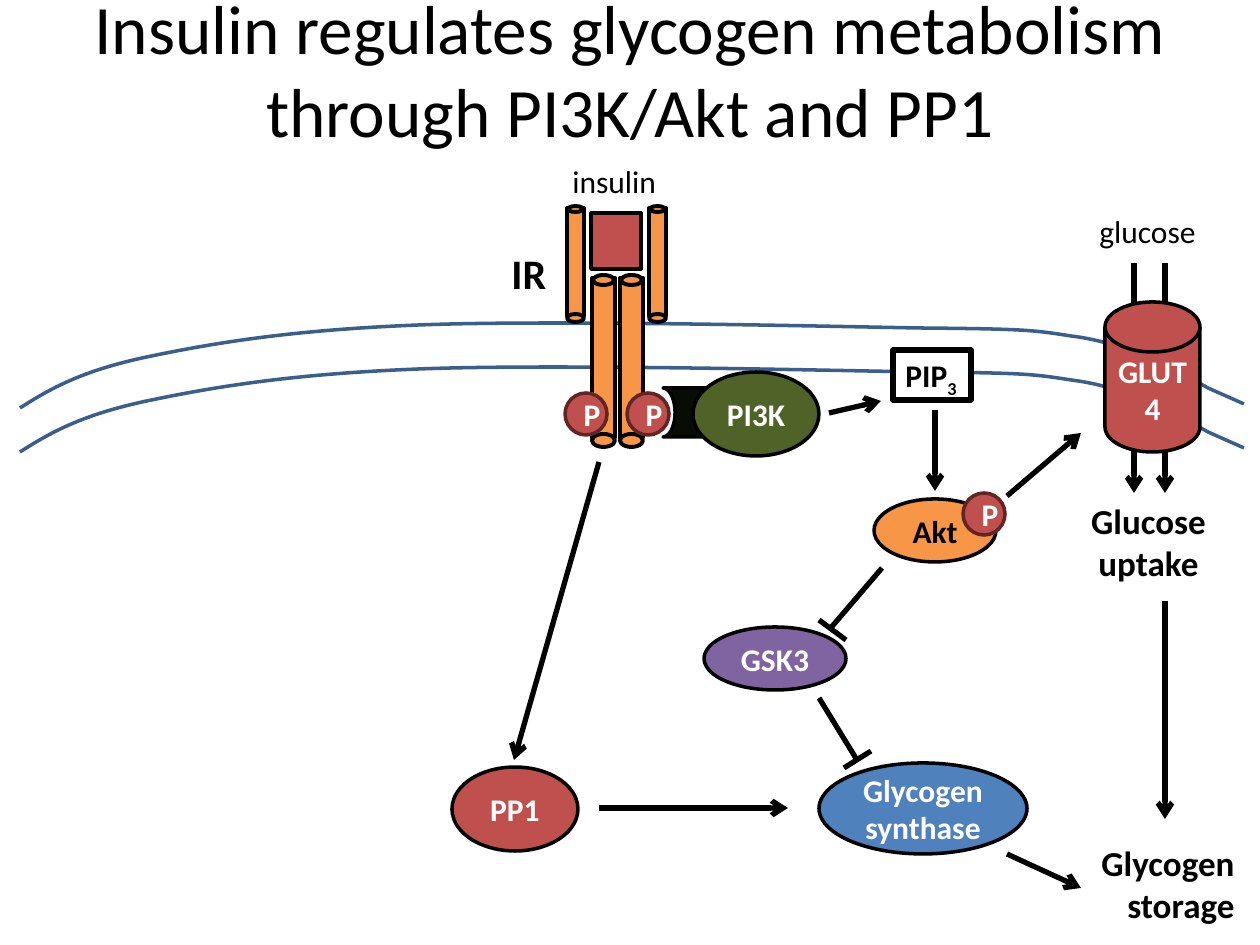
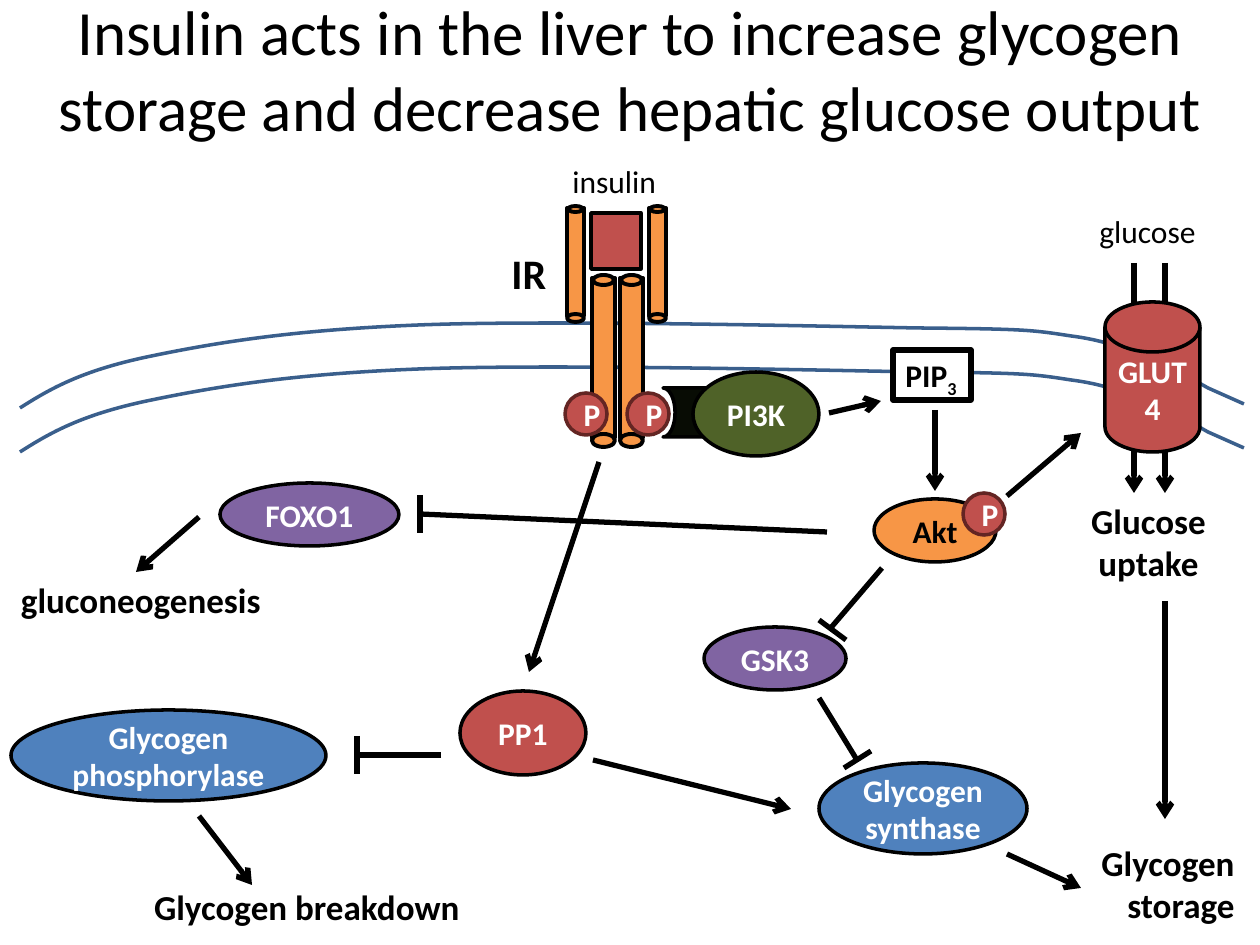
from pptx import Presentation
from pptx import util as u
from pptx.dml import color
from pptx.enum import shapes, text
from pptx.oxml import ns
from lxml import etree

PX = u.Inches(1) / 126
FONT = "Calibri"
COLORS = {
    "black": "000000", "white": "FFFFFF", "membrane": "3A5F8C",
    "red": "C0504D", "dark red": "632523", "orange": "F79646",
    "adaptor": "080C04", "green": "4F6228", "purple": "8064A2", "blue": "4F81BD",
}
KIND = shapes.MSO_SHAPE
LEFT, CENTER, RIGHT = text.PP_ALIGN.LEFT, text.PP_ALIGN.CENTER, text.PP_ALIGN.RIGHT
TOP, MIDDLE = text.MSO_ANCHOR.TOP, text.MSO_ANCHOR.MIDDLE

MEMBRANE_START = (20, 408)
MEMBRANE_CURVES = [
    ((50, 389), (81, 371), (147, 357)),
    ((214, 343), (291, 330), (420, 325)),
    ((548, 320), (809, 326), (917, 328)),
    ((1026, 329), (1032, 330), (1071, 336)),
    ((1110, 341), (1129, 351), (1152, 360)),
    ((1175, 369), (1208, 388), (1208, 388)),
]
MEMBRANE_END = (1244, 404)
LAYER_GAP = 44


def emu(*lengths):
    """Turn px lengths into EMU."""
    return [round(length * PX) for length in lengths]


def rgb(name):
    """Look up a named colour."""
    return color.RGBColor.from_string(COLORS[name])


def outline(shape, line_color="black", width=2):
    """Give a shape or connector a solid line."""
    shape.line.color.rgb = rgb(line_color)
    shape.line.width = u.Pt(width)


def write(shape, words, size=18, bold=True, ink="black", align=LEFT,
          anchor=TOP, wrap=True, subscript=""):
    """Put formatted text into a shape, with an optional subscript."""
    frame = shape.text_frame
    frame.word_wrap = wrap
    frame.vertical_anchor = anchor
    paragraph = frame.paragraphs[0]
    paragraph.alignment = align
    for part in filter(None, (words, subscript)):
        run = paragraph.add_run()
        run.text = part
        run.font.name = FONT
        run.font.size = u.Pt(size)
        run.font.bold = bold
        run.font.color.rgb = rgb(ink)
    if subscript:
        run._r.get_or_add_rPr().set("baseline", "-25000")


def solid(parent, box, fill, kind=KIND.OVAL, line_color="black", width=2):
    """Add a filled and outlined preset shape."""
    shape = parent.shapes.add_shape(kind, *emu(*box))
    shape.shadow.inherit = False
    shape.fill.solid()
    shape.fill.fore_color.rgb = rgb(fill)
    outline(shape, line_color, width)
    return shape


def protein(slide, name, box, fill, kind=KIND.OVAL, ink="white", line_color="black"):
    """Add a named protein."""
    body = solid(slide, box, fill, kind, line_color)
    write(body, name, ink=ink, align=CENTER, anchor=MIDDLE)


def phosphate(slide, left, top):
    """Add a phosphate badge."""
    protein(slide, "P", (left, top, 42, 42), "red", KIND.FLOWCHART_CONNECTOR,
            line_color="dark red")


def label(slide, words, box, **fmt):
    """Add a free-standing text box."""
    caption = slide.shapes.add_textbox(*emu(*box))
    write(caption, words, **fmt)
    caption.text_frame.auto_size = text.MSO_AUTO_SIZE.SHAPE_TO_FIT_TEXT
    return caption


def stroke(slide, *ends, arrow=False):
    """Draw a straight line, with an arrowhead if asked."""
    line = slide.shapes.add_connector(shapes.MSO_CONNECTOR.STRAIGHT, *emu(*ends))
    outline(line, width=3)
    if arrow:
        etree.SubElement(line.line._get_or_add_ln(), ns.qn("a:tailEnd"), type="arrow")
    etree.SubElement(line._element.spPr, ns.qn("a:effectLst"))


def activate(slide, *ends):
    """Draw an activation arrow."""
    stroke(slide, *ends, arrow=True)


def inhibit(slide, stem, bar):
    """Draw an inhibition stem and its end bar."""
    stroke(slide, *stem)
    stroke(slide, *bar)


def bend(outline_shape, count):
    """Turn the first segments of a freeform, three by three, into cubic curves."""
    segments = list(outline_shape._element.iter(ns.qn("a:lnTo")))
    for first in range(0, 3 * count, 3):
        curve = etree.Element(ns.qn("a:cubicBezTo"))
        segments[first].addprevious(curve)
        for segment in segments[first:first + 3]:
            curve.append(segment[0])
            segment.getparent().remove(segment)


def membrane(slide, drop):
    """Draw one layer of the cell membrane."""
    controls = [point for curve in MEMBRANE_CURVES for point in curve]
    points = [emu(x, y + drop) for x, y in (MEMBRANE_START, *controls, MEMBRANE_END)]
    builder = slide.shapes.build_freeform(*points[0])
    builder.add_line_segments(points[1:], close=False)
    layer = builder.convert_to_shape()
    bend(layer, len(MEMBRANE_CURVES))
    layer.shadow.inherit = False
    layer.fill.background()
    outline(layer, "membrane")


def subunit(slide, left, top, width, height, upper_cap, lower_cap):
    """Group a receptor rod with its two caps."""
    rod = slide.shapes.add_group_shape()
    parts = [
        (KIND.RECTANGLE, (left, top, width, height)),
        (KIND.OVAL, (left + 1, top - upper_cap // 3, width - 2, upper_cap)),
        (KIND.OVAL, (left, top + height - lower_cap // 3, width, lower_cap)),
    ]
    for kind, box in parts:
        solid(rod, box, "orange", kind, width=2.25)


def receptor(slide):
    """Draw the insulin receptor with its phosphates."""
    for left in (592, 620):
        subunit(slide, left, 278, 23, 160, 10, 13)
    for left in (567, 649):
        subunit(slide, left, 208, 17, 108, 6, 8)
    for left in (565, 627):
        phosphate(slide, left, 393)


def pathway_slide(deck, heading, size):
    """Add a slide with its title and the shared insulin pathway."""
    slide = deck.slides.add_slide(deck.slide_layouts[5])
    title = slide.shapes.title
    title.left, title.top, title.width, title.height = emu(0, -10, 1260, 157)
    write(title, heading, size=size, bold=False, align=CENTER, anchor=MIDDLE)
    title.text_frame.auto_size = text.MSO_AUTO_SIZE.NONE

    for transport in (1165, 1134):
        activate(slide, transport, 263, transport, 493)
    for drop in (LAYER_GAP, 0):
        membrane(slide, drop)

    label(slide, "IR", (499, 241, 60, 63), size=24, wrap=False)
    solid(slide, (591, 213, 50, 56), "red", KIND.RECTANGLE)
    label(slide, "insulin", (560, 156, 112, 50), bold=False, wrap=False)
    adaptor = solid(slide, (663, 388, 72, 49), "adaptor", KIND.FLOWCHART_STORED_DATA)
    adaptor.rotation = 180
    protein(slide, "PI3K", (693, 372, 126, 84), "green")
    lipid = label(slide, "PIP", (893, 350, 78, 50), wrap=False, subscript="3")
    lipid.fill.solid()
    lipid.fill.fore_color.rgb = rgb("white")
    outline(lipid, width=3)
    protein(slide, "Akt", (874, 499, 122, 63), "orange", ink="black")
    phosphate(slide, 963, 493)
    protein(slide, "GLUT4", (1105, 302, 95, 150), "red", KIND.FLOWCHART_MAGNETIC_DISK)
    label(slide, "glucose", (1087, 206, 122, 50), bold=False, wrap=False)
    receptor(slide)
    label(slide, "Glucose uptake", (1067, 493, 163, 97), size=20, align=CENTER)
    protein(slide, "GSK3", (704, 627, 142, 63), "purple")
    protein(slide, "Glycogen synthase", (819, 763, 208, 91), "blue")
    label(slide, "Glycogen storage", (1030, 835, 217, 97), size=20, align=RIGHT)

    for ends in [(829, 413, 881, 401), (935, 410, 935, 491), (1007, 496, 1081, 433),
                 (1007, 854, 1081, 888), (1165, 601, 1165, 819)]:
        activate(slide, *ends)
    inhibit(slide, (882, 568, 829, 630), (819, 620, 846, 640))
    inhibit(slide, (819, 698, 857, 760), (844, 768, 871, 751))
    return slide


def phosphatase(slide, left, top, incoming, outgoing):
    """Add PP1 with the arrows from the receptor and to the synthase."""
    activate(slide, *incoming)
    protein(slide, "PP1", (left, top, 126, 84), "red")
    activate(slide, *outgoing)


def liver_outputs(slide):
    """Add the branches that lower hepatic glucose output."""
    inhibit(slide, (827, 532, 420, 514), (420, 495, 420, 533))
    protein(slide, "FOXO1", (220, 483, 179, 63), "purple")
    label(slide, "gluconeogenesis", (0, 572, 273, 55), size=20, align=RIGHT)
    activate(slide, 199, 517, 136, 572)
    inhibit(slide, (441, 755, 357, 755), (357, 736, 357, 774))
    protein(slide, "Glycogen phosphorylase", (11, 710, 315, 91), "blue")
    activate(slide, 199, 816, 252, 885)
    label(slide, "Glycogen breakdown", (42, 879, 430, 55), size=20, align=RIGHT)


def main():
    """Build both slides and save them."""
    deck = Presentation()
    deck.slide_width, deck.slide_height = emu(1260, 945)

    metabolism = pathway_slide(
        deck, "Insulin regulates glycogen metabolism through PI3K/Akt and PP1", 39.6)
    phosphatase(metabolism, 452, 767, (599, 462, 514, 760), (599, 808, 788, 808))

    liver = pathway_slide(
        deck, "Insulin acts in the liver to increase glycogen storage "
        "and decrease hepatic glucose output", 36)
    phosphatase(liver, 460, 691, (599, 462, 529, 672), (593, 760, 791, 809))
    liver_outputs(liver)

    deck.save("out.pptx")


if __name__ == "__main__":
    main()
